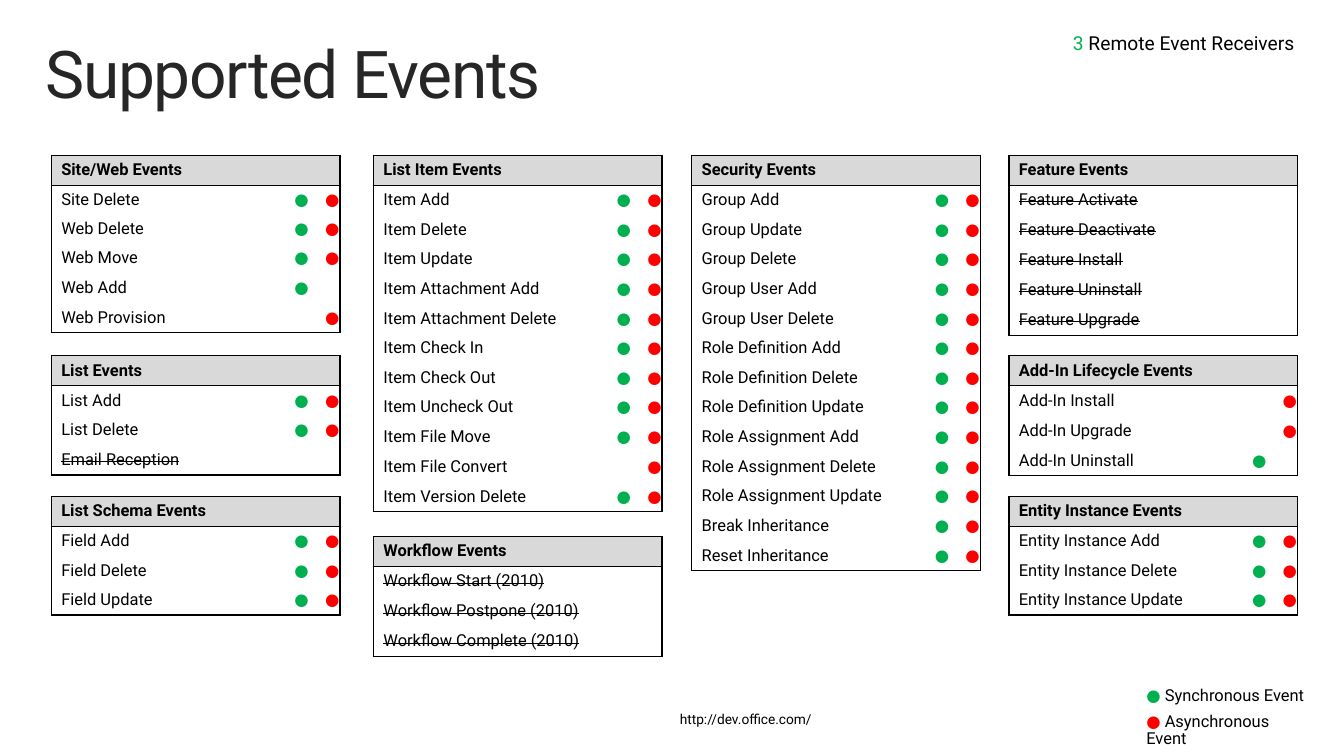
from lxml import etree
from pptx import Presentation
from pptx.dml.color import RGBColor
from pptx.enum.text import MSO_ANCHOR, MSO_AUTO_SIZE, PP_ALIGN
from pptx.oxml.ns import qn
from pptx.util import Emu, Pt

LEFT, MID, RIGHT = PP_ALIGN.LEFT, PP_ALIGN.CENTER, PP_ALIGN.RIGHT
TOP = MSO_ANCHOR.TOP
FIXED = MSO_AUTO_SIZE.NONE
SCALE = 9144
FONT = "Roboto"
PLAIN = "{2D5ABB26-0587-4C30-8999-92F81FD0307C}"
HEX = {"ink": "000000", "title": "262626", "head": "D9D9D9",
       "sync": "00B050", "async": "FF0000"}
DOT = "●"
COLS = (236, 31, 25)
ROW = 30
TABLES = [
    (52, 157, 29.4, "Site/Web Events", [
        ("sa", ["Site Delete", "Web Delete", "Web Move"]),
        ("s", ["Web Add"]),
        ("a", ["Web Provision"])]),
    (52, 360, ROW, "List Events", [
        ("sa", ["List Add", "List Delete"]),
        ("x", ["Email Reception"])]),
    (52, 502, ROW, "List Schema Events", [
        ("sa", ["Field Add", "Field Delete", "Field Update"])]),
    (378, 157, ROW, "List Item Events", [
        ("sa", ["Item Add", "Item Delete", "Item Update",
                "Item Attachment Add", "Item Attachment Delete",
                "Item Check In", "Item Check Out", "Item Uncheck Out",
                "Item File Move"]),
        ("a", ["Item File Convert"]),
        ("sa", ["Item Version Delete"])]),
    (378, 543, ROW, "Workflow Events", [
        ("x", ["Workflow Start (2010)", "Workflow Postpone (2010)",
               "Workflow Complete (2010)"])]),
    (700, 157, ROW, "Security Events", [
        ("sa", ["Group Add", "Group Update", "Group Delete",
                "Group User Add", "Group User Delete",
                "Role Definition Add", "Role Definition Delete",
                "Role Definition Update", "Role Assignment Add",
                "Role Assignment Delete", "Role Assignment Update",
                "Break Inheritance", "Reset Inheritance"])]),
    (1021, 157, ROW, "Feature Events", [
        ("x", ["Feature Activate", "Feature Deactivate", "Feature Install",
               "Feature Uninstall", "Feature Upgrade"])]),
    (1021, 360, ROW, "Add-In Lifecycle Events", [
        ("a", ["Add-In Install", "Add-In Upgrade"]),
        ("s", ["Add-In Uninstall"])]),
    (1021, 502, ROW, "Entity Instance Events", [
        ("sa", ["Entity Instance Add", "Entity Instance Delete",
                "Entity Instance Update"])]),
]


def px(num):
    return Emu(round(num * SCALE))


def rgb(name):
    return RGBColor.from_string(HEX[name])


def apply(item, fmt):
    for key, val in fmt.items():
        setattr(item, key, val)


def write(par, text, color="ink", size=12, bold=False):
    run = par.add_run()
    run.text = text
    apply(run.font, {"name": FONT, "size": Pt(size), "bold": bold})
    run.font.color.rgb = rgb(color)
    return run


def inset(frame, left, top, right, base):
    apply(frame, {"margin_left": px(left), "margin_top": px(top),
                  "margin_right": px(right), "margin_bottom": px(base),
                  "vertical_anchor": TOP, "auto_size": FIXED})


def label(slide, box, pads, lines, wrap=True, **fmt):
    frame = slide.shapes.add_textbox(*map(px, box)).text_frame
    inset(frame, *pads)
    frame.word_wrap = wrap
    for num, runs in enumerate(lines):
        par = frame.add_paragraph() if num else frame.paragraphs[0]
        apply(par, fmt)
        for text, color, size in runs:
            write(par, text, color, size)


def border(cell, sides):
    props = cell._tc.get_or_add_tcPr()
    for side in "LRTB":
        if side in sides:
            line = etree.SubElement(props, qn(f"a:ln{side}"), w="12700")
            fill = etree.SubElement(line, qn("a:solidFill"))
            etree.SubElement(fill, qn("a:srgbClr"), val=HEX["ink"])


def fill_cell(cell, text, color, bold, struck, align):
    par = cell.text_frame.paragraphs[0]
    par.alignment = align
    if text:
        run = write(par, text, color, bold=bold)
        if struck:
            run.font._element.set("strike", "sngStrike")
    else:
        etree.SubElement(par._p, qn("a:endParaRPr"), sz="1200")


def grid(slide, left, top, pitch, head, groups):
    items = [(kind, name) for kind, names in groups for name in names]
    rows = [("", head)] + items
    high = ROW + pitch * len(items)
    frame = slide.shapes.add_table(len(rows), len(COLS), px(left), px(top),
                                   px(sum(COLS)), px(high))
    table = frame.table
    table._tbl.tblPr.find(qn("a:tableStyleId")).text = PLAIN
    for col, wide in zip(table.columns, COLS):
        col.width = px(wide)
    for num, (kind, name) in enumerate(rows):
        first, last = num == 0, num == len(rows) - 1
        table.rows[num].height = px(ROW if first else pitch)
        marks = [(name, "ink", LEFT),
                 (DOT if "s" in kind else "", "sync", MID),
                 (DOT if "a" in kind else "", "async", MID)]
        for pos, (text, color, align) in enumerate(marks):
            cell = table.cell(num, pos)
            fill_cell(cell, text, color, first, kind == "x", align)
            sides = ("L", "", "R")[pos]
            sides += "TB" if first else "B" if last else ""
            border(cell, sides)
            if first:
                cell.fill.solid()
                cell.fill.fore_color.rgb = rgb("head")
            else:
                cell.fill.background()
    table.cell(0, 0).merge(table.cell(0, 1))


def heading(slide, text):
    title = slide.shapes.title
    apply(title, {"left": px(30), "top": px(32),
                  "width": px(1300), "height": px(100)})
    inset(title.text_frame, 16, 10, 16, 10)
    par = title.text_frame.paragraphs[0]
    apply(par, {"alignment": LEFT, "line_spacing": 0.9})
    run = write(par, text, "title", 48)
    run.font._element.set("spc", "-100")


def main():
    deck = Presentation()
    apply(deck, {"slide_width": px(1360), "slide_height": px(765)})
    slide = deck.slides.add_slide(deck.slide_layouts[5])
    heading(slide, "Supported Events")
    label(slide, (871, 32, 459, 41), (10, 0, 20, 5),
          [[("3 ", "sync", 14), ("Remote Event Receivers", "ink", 14)]],
          alignment=RIGHT)
    for spot in TABLES:
        grid(slide, *spot)
    label(slide, (672, 711, 166, 35), (16, 10, 16, 10),
          [[("http://dev.office.com/", "ink", 10)]],
          wrap=False, line_spacing=0.9)
    label(slide, (1140, 679, 209, 77), (20, 16, 20, 16),
          [[(DOT + " ", "sync", 12), ("Synchronous Event", "ink", 12)],
           [(DOT + " ", "async", 12), ("Asynchronous Event", "ink", 12)]],
          line_spacing=0.9, space_after=Pt(6))
    deck.save("out.pptx")


if __name__ == "__main__":
    main()
